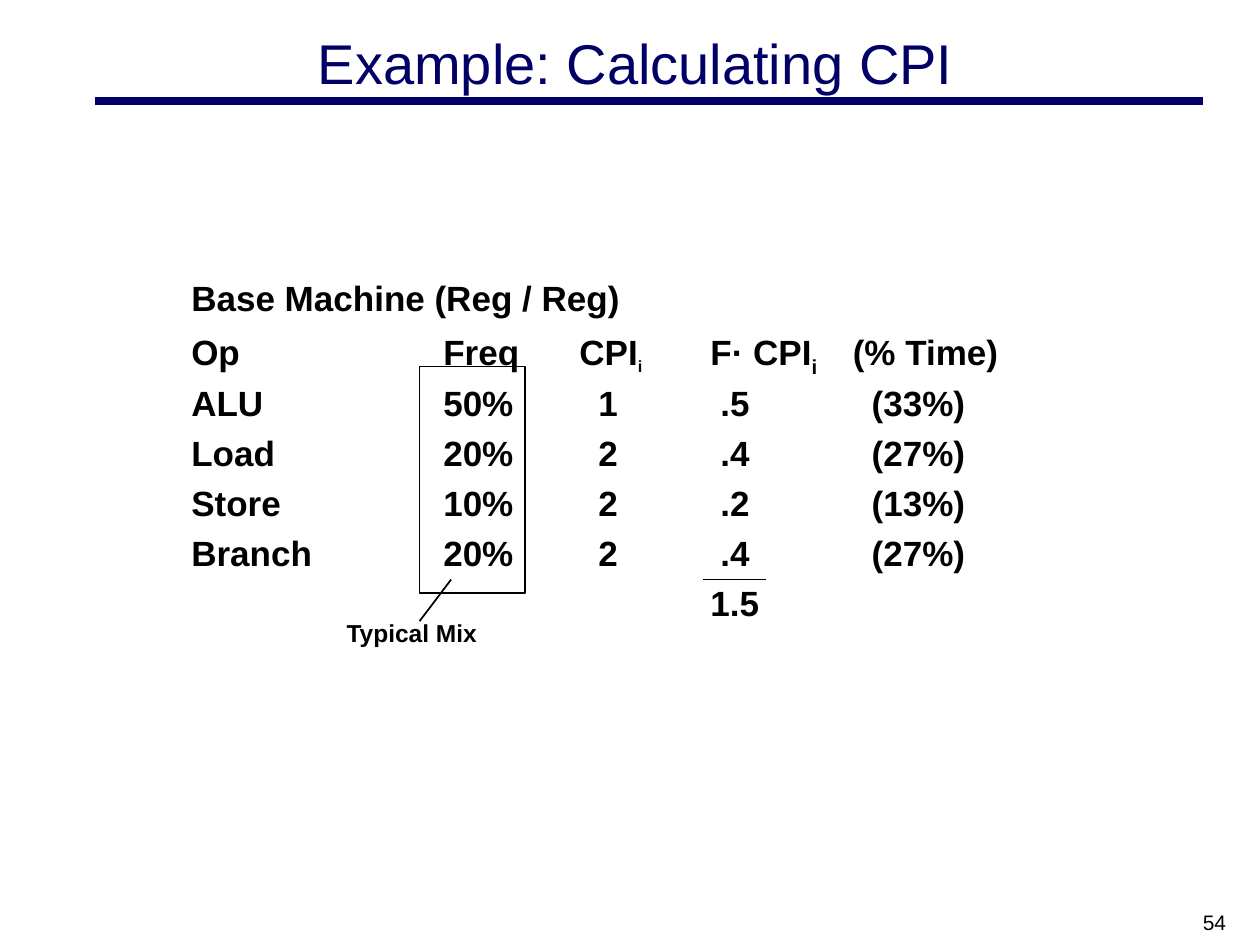
"""Build the slide showing a worked CPI calculation."""
from lxml import etree
from pptx import Presentation
from pptx.dml.color import RGBColor
from pptx.enum.shapes import MSO_CONNECTOR, MSO_SHAPE
from pptx.enum.text import MSO_ANCHOR, PP_ALIGN
from pptx.oxml.ns import qn
from pptx.util import Inches, Pt

NAVY = RGBColor(0x00, 0x00, 0x66)
BLACK = RGBColor(0x00, 0x00, 0x00)
LEFT, CENTER, RIGHT = PP_ALIGN.LEFT, PP_ALIGN.CENTER, PP_ALIGN.RIGHT
TOP, MIDDLE = MSO_ANCHOR.TOP, MSO_ANCHOR.MIDDLE
STRAIGHT, RECTANGLE = MSO_CONNECTOR.STRAIGHT, MSO_SHAPE.RECTANGLE

prs = Presentation()
prs.slide_width, prs.slide_height = Inches(10), Inches(7.5)
s = prs.slides.add_slide(prs.slide_layouts[6])


def add_text(box, text, size, color=BLACK, bold=False, align=LEFT, **frame):
    tf = s.shapes.add_textbox(*map(Inches, box)).text_frame
    for name, value in {"word_wrap": True, **frame}.items():
        setattr(tf, name, value)
    p = tf.paragraphs[0]
    p.alignment = align
    r = p.add_run()
    r.text = text
    style = {"name": "Arial", "size": Pt(size), "bold": bold}
    for name, value in style.items():
        setattr(r.font, name, value)
    r.font.color.rgb = color
    return tf


def add_line(x1, y1, x2, y2, color=BLACK, width=1):
    sp = s.shapes.add_connector(STRAIGHT, *map(Inches, (x1, y1, x2, y2)))
    sp.line.color.rgb = color
    sp.line.width = Pt(width)
    etree.SubElement(sp._element.spPr, qn("a:effectLst"))


add_line(0.75, 0.8, 9.55, 0.8, NAVY, 4.5)
add_text((0.92, 0.33, 8.25, 0.33), "Example: Calculating CPI", 32, NAVY,
         align=CENTER, vertical_anchor=MIDDLE)

add_line(3.58, 4.6, 3.33, 4.93)
tf = add_text((2.68, 4.9, 1.18, 0.27), "Typical Mix", 14, bold=True,
              word_wrap=False, margin_left=Inches(0.07),
              margin_right=Inches(0.07), margin_top=Inches(0.03),
              margin_bottom=Inches(0.03))
tf.paragraphs[0].line_spacing = 0.9

HEAD_TABS = (2, 3.08, 4.12, 5.25)
DATA_TABS = (2, 3.23, 4.2, 5.4)
rows = [
    (HEAD_TABS, [("Op\tFreq\tCPI", 20, 0), ("i", 16, -25000),
                 ("\tF· CPI", 20, 0), ("i", 20, -25000),
                 ("\t(% Time)", 20, 0)]),
]
for cells in [("ALU", "50%", "1", ".5", "(33%)"),
              ("Load", "20%", "2", ".4", "(27%)"),
              ("Store", "10%", "2", ".2", "(13%)"),
              ("Branch", "20%", "2", ".4", "(27%)")]:
    rows.append((DATA_TABS, [("\t".join(cells), 20, 0)]))
rows.append(((4.12,), [("\t1.5", 20, 0)]))

tf = add_text((1.42, 2.18, 7.66, 2.82), "Base Machine (Reg / Reg)", 20,
              bold=True, vertical_anchor=TOP)
tf.paragraphs[0].line_spacing = 0.9
for tabs, runs in rows:
    p = tf.add_paragraph()
    p.line_spacing = 0.9
    p.space_before = Pt(7)
    tab_list = etree.SubElement(p._p.get_or_add_pPr(), qn("a:tabLst"))
    for pos in tabs:
        etree.SubElement(tab_list, qn("a:tab"), pos=str(Inches(pos)), algn="l")
    for text, size, baseline in runs:
        r = p.add_run()
        r.text = text
        style = {"name": "Arial", "size": Pt(size), "bold": True}
        for name, value in style.items():
            setattr(r.font, name, value)
        r.font.color.rgb = BLACK
        if baseline:
            r._r.get_or_add_rPr().set("baseline", str(baseline))

add_line(5.58, 4.6, 6.08, 4.6)
sp = s.shapes.add_shape(RECTANGLE, *map(Inches, (3.33, 2.91, 0.84, 1.8)))
sp.shadow.inherit = False
sp.fill.background()
sp.line.color.rgb = BLACK
sp.line.width = Pt(1)

add_text((7.5, 7.17, 2.33, 0.25), "54", 12, align=RIGHT)

prs.save("out.pptx")
